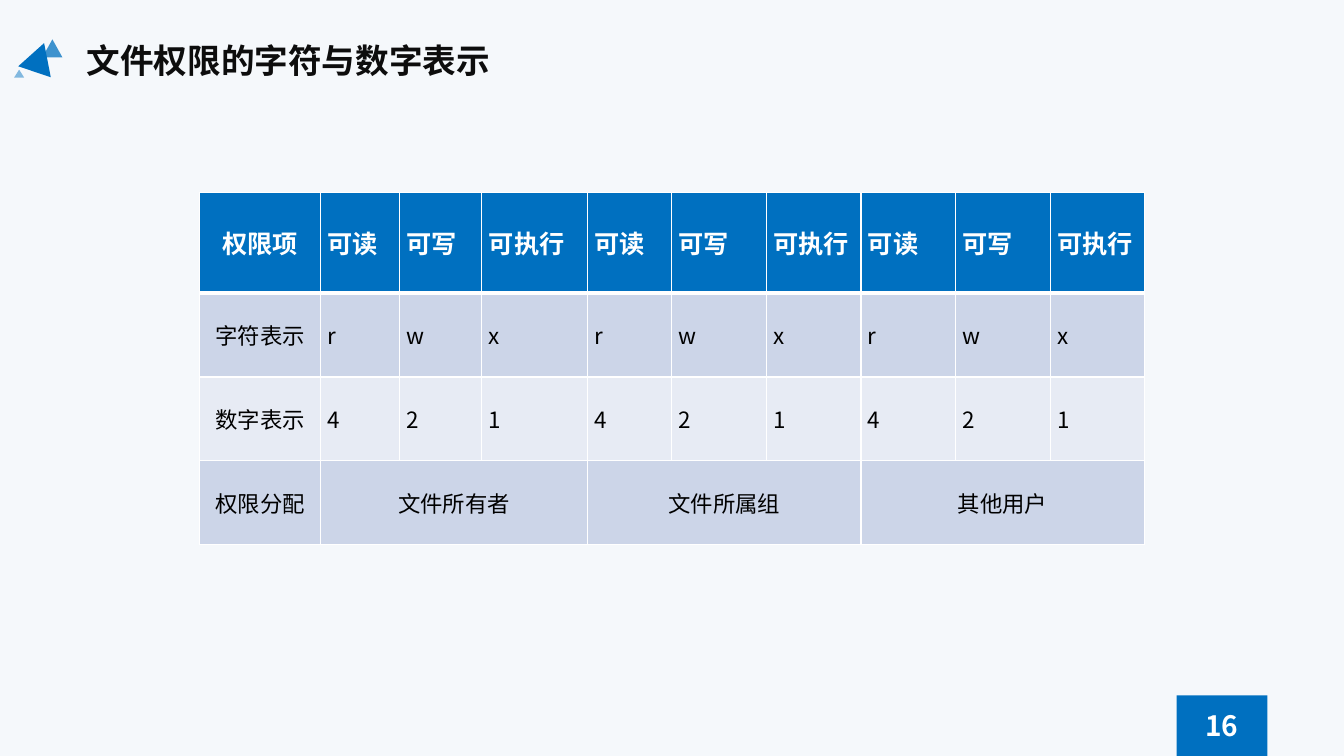
from lxml.etree import SubElement
from pptx import Presentation
from pptx.dml.color import RGBColor
from pptx.enum.shapes import MSO_SHAPE as SHAPE
from pptx.enum.text import MSO_ANCHOR as ANCHOR, PP_ALIGN as ALIGN
from pptx.oxml.ns import qn
from pptx.util import Inches, Pt

BLUE = RGBColor(0x00, 0x70, 0xC0)
WHITE = RGBColor(0xFF, 0xFF, 0xFF)
BLACK = RGBColor(0x00, 0x00, 0x00)
INK = RGBColor(0x0D, 0x0D, 0x0D)
PALE = RGBColor(0xF5, 0xF8, 0xFB)
BAND_DARK = RGBColor(0xCC, 0xD5, 0xE8)
BAND_LIGHT = RGBColor(0xE7, 0xEB, 0xF4)


class Deck:
    font = "Noto Sans CJK SC"

    def __init__(self):
        self.prs = Presentation()
        self.prs.slide_width, self.prs.slide_height = Inches(13.33), Inches(7.5)
        self.s = self.prs.slides.add_slide(self.prs.slide_layouts[5])
        self.paint(self.s.background.fill, PALE)

    def paint(self, fill, color):
        fill.solid()
        fill.fore_color.rgb = color

    def set_text(self, tf, text, size, color, bold, align):
        tf.text = text
        p = tf.paragraphs[0]
        p.alignment = align
        p.font.name, p.font.size, p.font.bold = self.font, Pt(size), bold
        p.font.color.rgb = color
        # East Asian typeface
        props = p._p.find(".//" + qn("a:defRPr"))
        SubElement(props, qn("a:ea")).set("typeface", self.font)

    def title(self, text, *box):
        sp = self.s.shapes.title
        sp.left, sp.top, sp.width, sp.height = map(Inches, box)
        sp.text_frame.vertical_anchor = ANCHOR.MIDDLE
        self.set_text(sp.text_frame, text, 24, INK, True, ALIGN.LEFT)

    def shape(self, kind, *box, rotation=0, opacity=100):
        sp = self.s.shapes.add_shape(kind, *map(Inches, box))
        sp.shadow.inherit = False
        sp.rotation = rotation
        self.paint(sp.fill, BLUE)
        sp.line.fill.background()
        if opacity < 100:
            color = sp._element.spPr.find(".//" + qn("a:srgbClr"))
            SubElement(color, qn("a:alpha")).set("val", str(opacity * 1000))

    def text(self, text, *box):
        tf = self.s.shapes.add_textbox(*map(Inches, box)).text_frame
        tf.word_wrap = True
        self.set_text(tf, text, 20, WHITE, True, ALIGN.CENTER)

    def borders(self, cell, **widths):
        props = cell._tc.get_or_add_tcPr()
        for side in "LRTB":
            line = SubElement(props, qn(f"a:ln{side}"), w=str(Pt(widths.get(side, 1))))
            fill = SubElement(line, qn("a:solidFill"))
            SubElement(fill, qn("a:srgbClr"), val=str(WHITE))

    def table(self, left, top, widths, heights, rows, fills):
        box = map(Inches, (left, top, sum(widths), sum(heights)))
        table = self.s.shapes.add_table(len(rows), len(widths), *box).table
        for col, width in zip(table.columns, widths):
            col.width = Inches(width)
        for row, height in zip(table.rows, heights):
            row.height = Inches(height)
        for i, (row, fill) in enumerate(zip(rows, fills)):
            # A row with fewer values spreads them over equal groups of columns
            span = (len(widths) - 1) // (len(row) - 1)
            for j in range(len(widths)):
                cell = table.cell(i, j)
                self.borders(cell, T=3 if i == 1 else 1, B=3 if i == 0 else 1)
                self.paint(cell.fill, fill)
                cell.vertical_anchor = ANCHOR.MIDDLE
                cell.margin_left = cell.margin_right = Inches(0.07)
                cell.margin_top = cell.margin_bottom = 0
            for k, text in enumerate(row):
                col = 0 if k == 0 else 1 + (k - 1) * span
                cell = table.cell(i, col)
                if k and span > 1:
                    cell.merge(table.cell(i, col + span - 1))
                align = ALIGN.CENTER if k == 0 or span > 1 else ALIGN.JUSTIFY
                size, color = (18, WHITE) if i == 0 else (16, BLACK)
                self.set_text(cell.text_frame, text, size, color, i == 0, align)


def main():
    deck = Deck()

    # Heading with its triangles
    deck.title("文件权限的字符与数字表示", 0.76, 0.35, 9.48, 0.5)
    deck.shape(SHAPE.ISOSCELES_TRIANGLE, 0.42, 0.39, 0.2, 0.18, opacity=75)
    deck.shape(SHAPE.ISOSCELES_TRIANGLE, 0.22, 0.42, 0.34, 0.3, rotation=18.5)
    deck.shape(SHAPE.ISOSCELES_TRIANGLE, 0.14, 0.69, 0.1, 0.08, opacity=47)

    # Page number
    deck.shape(SHAPE.RECTANGLE, 11.67, 6.9, 0.9, 0.6)
    deck.text("16", 11.8, 6.98, 0.64, 0.44)

    # Permission table: three user classes, each with read, write and execute
    rows = [
        ["权限项"] + ["可读", "可写", "可执行"] * 3,
        ["字符表示"] + ["r", "w", "x"] * 3,
        ["数字表示"] + ["4", "2", "1"] * 3,
        ["权限分配", "文件所有者", "文件所属组", "其他用户"],
    ]
    widths = [1.2, 0.78, 0.82, 1.05, 0.83] + [0.94] * 4 + [0.93]
    heights = [1] + [0.83] * 3
    fills = [BLUE, BAND_DARK, BAND_LIGHT, BAND_DARK]
    deck.table(1.98, 1.91, widths, heights, rows, fills)

    deck.prs.save("out.pptx")


if __name__ == "__main__":
    main()
